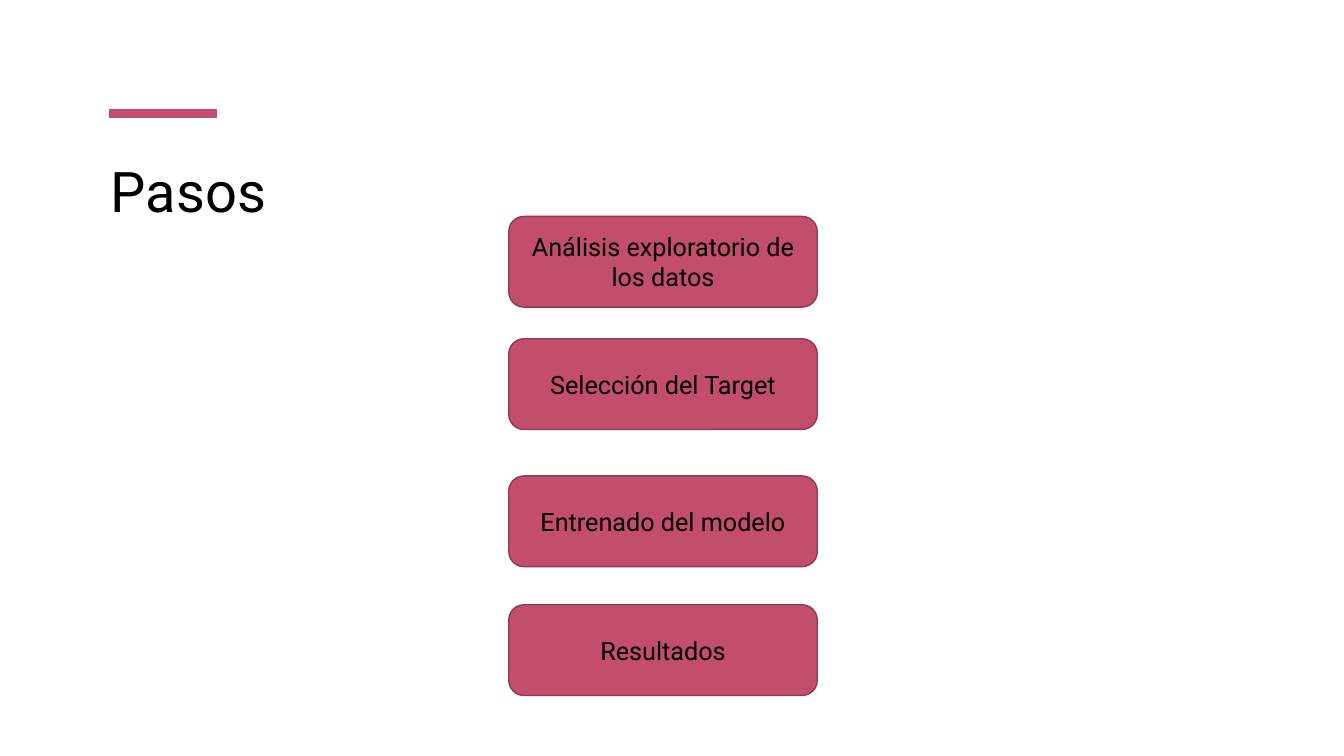
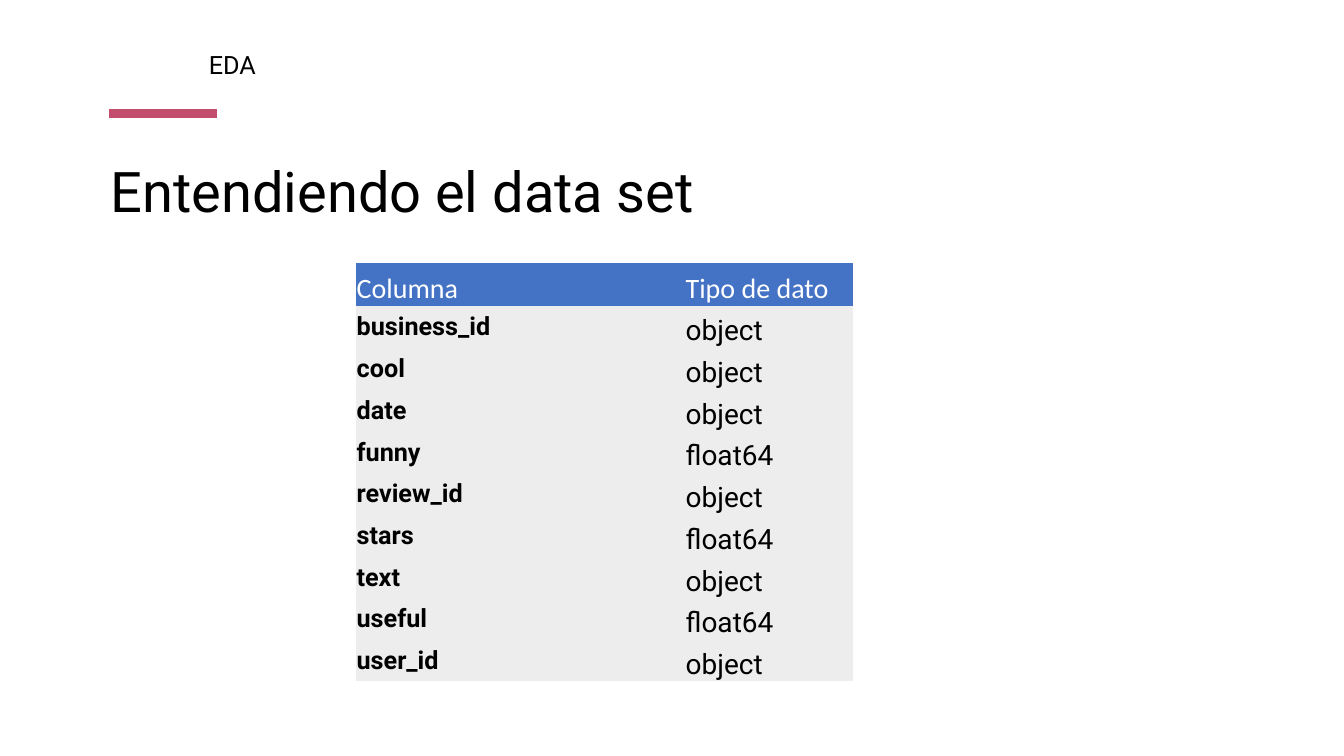
from dataclasses import dataclass

from lxml import etree
from pptx import Presentation
from pptx.dml.color import RGBColor
from pptx.enum import shapes, text
from pptx.oxml import ns
from pptx.slide import Slide
from pptx.text.text import TextFrame
from pptx.util import Pt

ROSE = RGBColor(0xC3, 0x4D, 0x6C)
WINE = RGBColor(0x90, 0x39, 0x50)
BLUE = RGBColor(0x44, 0x72, 0xC4)
GRAY = RGBColor(0xED, 0xED, 0xED)
BLACK = RGBColor(0, 0, 0)
WHITE = RGBColor(255, 255, 255)
PLAIN = "{2D5ABB26-0587-4C30-8999-92F81FD0307C}"
LEFT, CENTER = text.PP_ALIGN.LEFT, text.PP_ALIGN.CENTER
TOP, MIDDLE, BOTTOM = (
    text.MSO_ANCHOR.TOP,
    text.MSO_ANCHOR.MIDDLE,
    text.MSO_ANCHOR.BOTTOM,
)


@dataclass(frozen=True)
class Step:
    label: str
    top: float


@dataclass(frozen=True)
class Field:
    name: str
    kind: str


STEPS = [
    Step("Análisis exploratorio de los datos", 154.6),
    Step("Selección del Target", 242),
    Step("Entrenado del modelo", 340),
    Step("Resultados", 432),
]

FIELDS = [
    Field("business_id", "object"),
    Field("cool", "object"),
    Field("date", "object"),
    Field("funny", "float64"),
    Field("review_id", "object"),
    Field("stars", "float64"),
    Field("text", "object"),
    Field("useful", "float64"),
    Field("user_id", "object"),
]


def write(
    frame: TextFrame,
    words: str,
    *,
    size: float = 18,
    face: str = "Roboto",
    color: RGBColor = BLACK,
    bold: bool = False,
    align: text.PP_ALIGN = LEFT,
    anchor: text.MSO_ANCHOR = TOP,
) -> None:
    frame.word_wrap = True
    frame.vertical_anchor = anchor
    para = frame.paragraphs[0]
    para.alignment = align
    run = para.add_run()
    run.text = words
    font = run.font
    font.size, font.name, font.bold = Pt(size), face, bold
    font.color.rgb = color


def start(deck: Presentation, title: str) -> Slide:
    slide = deck.slides.add_slide(deck.slide_layouts[5])
    bar = slide.shapes.add_connector(
        shapes.MSO_CONNECTOR.STRAIGHT, Pt(78), Pt(81), Pt(155), Pt(81)
    )
    bar.line.color.rgb = ROSE
    bar.line.width = Pt(6)
    etree.SubElement(bar.element.spPr, ns.qn("a:effectLst"))
    head = slide.shapes.title
    head.left, head.top, head.width, head.height = Pt(72), Pt(108), Pt(816), Pt(104)
    head.text_frame.auto_size = text.MSO_AUTO_SIZE.NONE
    write(head.text_frame, title, size=40)
    return slide


def draw_step(slide: Slide, step: Step) -> None:
    box = slide.shapes.add_shape(
        shapes.MSO_SHAPE.ROUNDED_RECTANGLE,
        Pt(363.4), Pt(step.top), Pt(220.4), Pt(64.8),
    )
    box.shadow.inherit = False
    box.fill.solid()
    box.fill.fore_color.rgb = ROSE
    box.line.color.rgb = WINE
    box.line.width = Pt(1)
    write(box.text_frame, step.label, align=CENTER, anchor=MIDDLE)


def draw_grid(slide: Slide, fields: list[Field]) -> None:
    tall, row = 30.6, 29.8
    frame = slide.shapes.add_table(
        len(fields) + 1, 2, Pt(254), Pt(188),
        Pt(355), Pt(tall + row * len(fields)),
    )
    for mark in frame.element.iter(ns.qn("a:tableStyleId")):
        mark.text = PLAIN
    grid = frame.table
    grid.horz_banding = False
    for col, width in zip(grid.columns, (235, 120)):
        col.width = Pt(width)
    rows = [Field("Columna", "Tipo de dato"), *fields]
    for i, field in enumerate(rows):
        grid.rows[i].height = Pt(row if i else tall)
        for j, words in enumerate((field.name, field.kind)):
            cell = grid.cell(i, j)
            cell.margin_left = cell.margin_right = cell.margin_top = Pt(0.75)
            cell.margin_bottom = Pt(0)
            cell.fill.solid()
            cell.fill.fore_color.rgb = GRAY if i else BLUE
            name = i > 0 and j == 0
            write(
                cell.text_frame,
                words,
                size=18 if name else 20,
                face="Roboto" if i else "Calibri",
                color=BLACK if i else WHITE,
                bold=name,
            )
            cell.vertical_anchor = MIDDLE if name else BOTTOM


def main() -> None:
    deck = Presentation()
    deck.slide_width, deck.slide_height = Pt(960), Pt(540)

    plan = start(deck, "Pasos")
    for step in STEPS:
        draw_step(plan, step)

    data = start(deck, "Entendiendo el data set")
    draw_grid(data, FIELDS)
    tag = data.shapes.add_textbox(Pt(32), Pt(32), Pt(268), Pt(29))
    write(tag.text_frame, "EDA", align=CENTER)

    deck.save("out.pptx")


if __name__ == "__main__":
    main()
